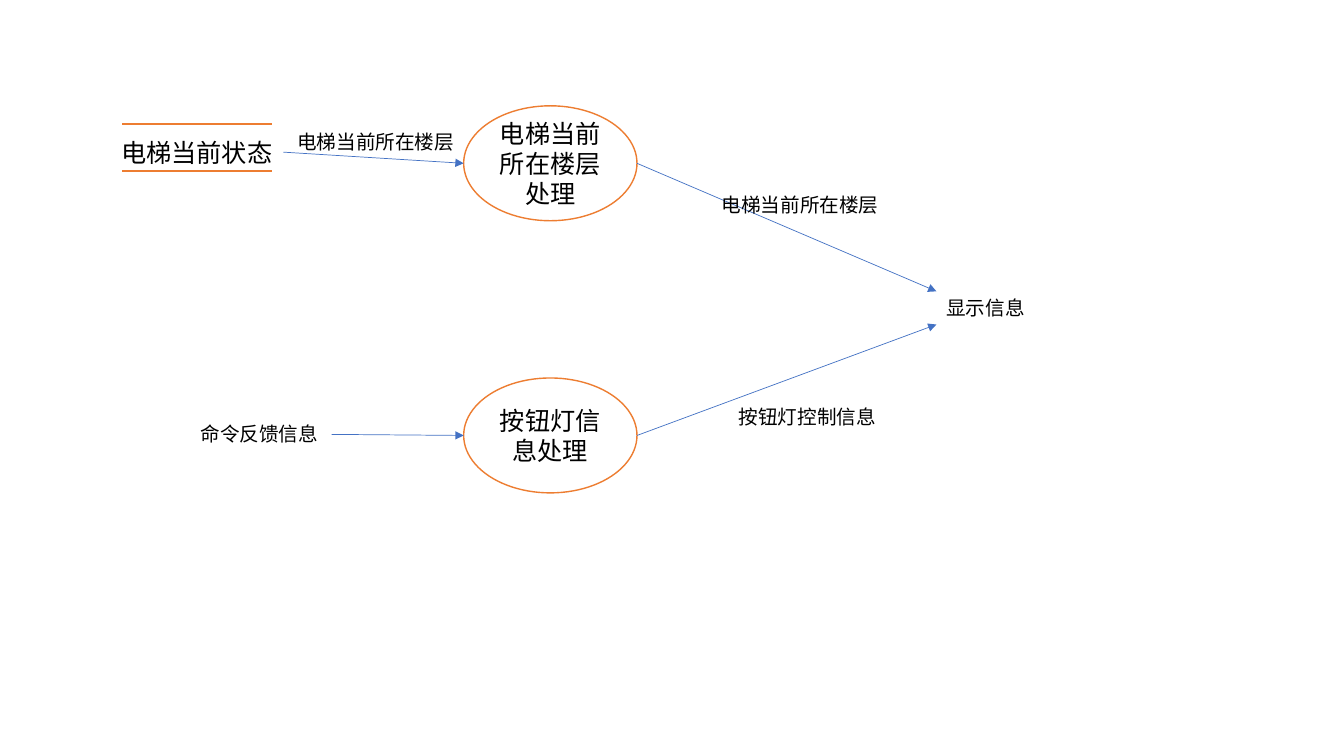
"""Draw the data flow of a lift's display information."""
from dataclasses import dataclass

from pptx import Presentation
from pptx.dml.color import RGBColor
from pptx.enum import shapes, text
from pptx.oxml import ns
from pptx.util import Pt
from lxml import etree


@dataclass(frozen=True)
class Theme:
    font: str = "Noto Sans CJK SC"
    ink: RGBColor = RGBColor(0, 0, 0)
    paper: RGBColor = RGBColor(255, 255, 255)
    edge: RGBColor = RGBColor(0xED, 0x7D, 0x31)
    flow: RGBColor = RGBColor(0x44, 0x72, 0xC4)
    big: int = 18
    small: int = 14


THEME = Theme()


def write(frame, words, size):
    run = frame.paragraphs[0].add_run()
    run.text = words
    run.font.size = Pt(size)
    run.font.name = THEME.font
    run.font.color.rgb = THEME.ink
    etree.SubElement(run.font._element, ns.qn("a:ea"), typeface=THEME.font)


def label(slide, words, left, top, width, height=24.5, size=THEME.small):
    box = slide.shapes.add_textbox(Pt(left), Pt(top), Pt(width), Pt(height))
    frame = box.text_frame
    frame.word_wrap = False
    frame.auto_size = text.MSO_AUTO_SIZE.SHAPE_TO_FIT_TEXT
    write(frame, words, size)


def line(slide, start, end, color, width):
    link = slide.shapes.add_connector(
        shapes.MSO_CONNECTOR.STRAIGHT, *map(Pt, start + end))
    link.line.color.rgb = color
    link.line.width = Pt(width)
    etree.SubElement(link._element.spPr, ns.qn("a:effectLst"))
    return link


def arrow(slide, start, end):
    link = line(slide, start, end, THEME.flow, 0.5)
    etree.SubElement(link.line._get_or_add_ln(), ns.qn("a:tailEnd"),
                     type="triangle")


def store(slide, words, left, top):
    for y in (top, top + 33.1):
        line(slide, (left, y), (left + 107.3, y), THEME.edge, 1.5)
    label(slide, words, left - 7.9, top + 5.7, 123.8, 29.1, THEME.big)


def process(slide, words, left, top, width=123.8, height=82.1):
    oval = slide.shapes.add_shape(
        shapes.MSO_SHAPE.OVAL, Pt(left), Pt(top), Pt(width), Pt(height))
    oval.shadow.inherit = False
    oval.fill.solid()
    oval.fill.fore_color.rgb = THEME.paper
    oval.line.color.rgb = THEME.edge
    oval.line.width = Pt(1)
    frame = oval.text_frame
    frame.word_wrap = True
    frame.vertical_anchor = text.MSO_ANCHOR.MIDDLE
    frame.paragraphs[0].alignment = text.PP_ALIGN.CENTER
    write(frame, words, THEME.big)
    mid = top + height / 2
    return (left, mid), (left + width, mid)


def main():
    deck = Presentation()
    deck.slide_width, deck.slide_height = Pt(960), Pt(540)
    slide = deck.slides.add_slide(deck.slide_layouts[6])

    store(slide, "电梯当前状态", 87.3, 88.8)
    rows = (
        ("电梯当前所在楼层处理", 75.6, (202.5, 108.7), (668.9, 208.1)),
        ("按钮灯信息处理", 270, (236.9, 310.3), (668.9, 231.8)),
    )
    for words, top, source, sink in rows:
        inlet, outlet = process(slide, words, 331.2, top)
        arrow(slide, source, inlet)
        arrow(slide, outlet, sink)

    for words, left, top, width in (
        ("电梯当前所在楼层", 205.2, 89.3, 127.4),
        ("命令反馈信息", 136.1, 298.1, 100.8),
        ("按钮灯控制信息", 520.6, 285.8, 115.2),
        ("电梯当前所在楼层", 508.3, 134.6, 127.4),
        ("显示信息", 668.9, 208.1, 72.7),
    ):
        label(slide, words, left, top, width)
    deck.save("out.pptx")


if __name__ == "__main__":
    main()
